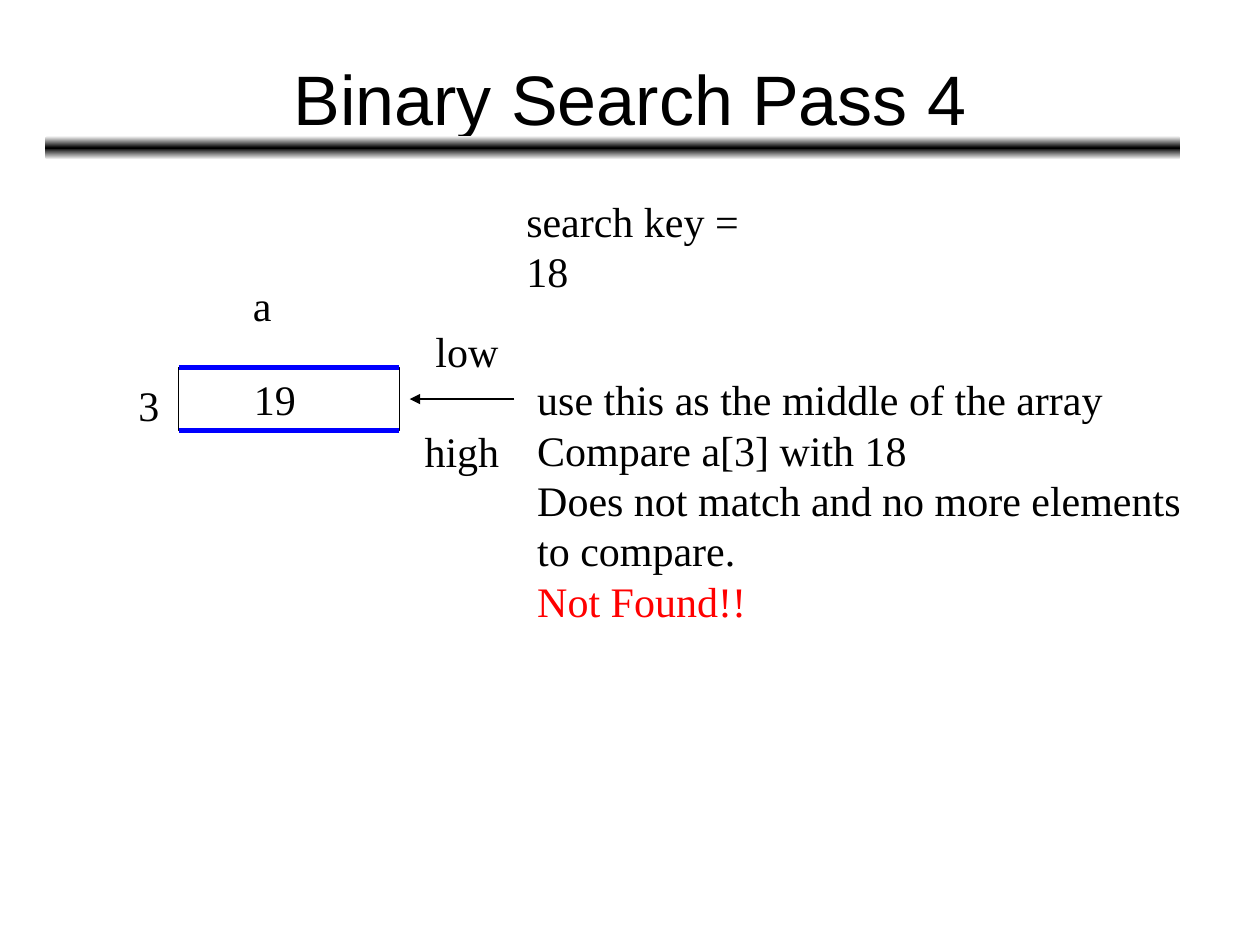
from copy import deepcopy
from dataclasses import dataclass

from pptx import Presentation
from pptx.dml.color import RGBColor
from pptx.enum.shapes import MSO_CONNECTOR, MSO_SHAPE
from pptx.enum.text import MSO_ANCHOR, MSO_AUTO_SIZE, PP_ALIGN
from pptx.oxml.ns import qn
from pptx.util import Cm, Pt
from lxml import etree

ROUNDED = MSO_SHAPE.ROUNDED_RECTANGLE
RECTANGLE = MSO_SHAPE.RECTANGLE
STRAIGHT = MSO_CONNECTOR.STRAIGHT
MIDDLE = MSO_ANCHOR.MIDDLE
FIT_SHAPE = MSO_AUTO_SIZE.SHAPE_TO_FIT_TEXT
NO_FIT = MSO_AUTO_SIZE.NONE
CENTER = PP_ALIGN.CENTER
LEFT = PP_ALIGN.LEFT


@dataclass(frozen=True)
class Theme:
    black: RGBColor = RGBColor(0, 0, 0)
    white: RGBColor = RGBColor(255, 255, 255)
    blue: RGBColor = RGBColor(0, 0, 255)
    red: RGBColor = RGBColor(255, 0, 0)
    title_font: str = "Arial"
    body_font: str = "Times New Roman"
    title_size: float = 40
    body_size: float = 24
    thin: float = 0.75
    thick: float = 3


class SlideBuilder:
    def __init__(self, page, theme):
        self.page = page
        self.theme = theme

    def style(self, para, font, size, color, align):
        para.alignment = align
        for span in para.runs:
            span.font.name = font
            span.font.size = Pt(size)
            span.font.color.rgb = color

    def title(self, text, left, top, width, height):
        box = self.page.shapes.title
        box.left, box.top, box.width, box.height = map(Cm, (left, top, width, height))
        frame = box.text_frame
        frame.text = text
        frame.vertical_anchor = MIDDLE
        frame.auto_size = NO_FIT
        self.style(frame.paragraphs[0], self.theme.title_font,
                   self.theme.title_size, self.theme.black, CENTER)

    def gradient_bar(self, left, top, width, height):
        bar = self.page.shapes.add_shape(ROUNDED, *map(Cm, (left, top, width, height)))
        bar.shadow.inherit = False
        bar.line.fill.background()
        bar.fill.gradient()
        bar.fill.gradient_angle = 90
        # A third stop puts the dark band in the middle
        stop_list = bar._element.spPr.find(qn("a:gradFill")).find(qn("a:gsLst"))
        stop_list.insert(1, deepcopy(stop_list[0]))
        colors = (self.theme.white, self.theme.black, self.theme.white)
        for stop, position, color in zip(bar.fill.gradient_stops, (0, 0.5, 1), colors):
            stop.position = position
            stop.color.rgb = color

    def cell(self, left, top, width, height):
        box = self.page.shapes.add_shape(RECTANGLE, *map(Cm, (left, top, width, height)))
        box.shadow.inherit = False
        box.fill.background()
        box.line.color.rgb = self.theme.black
        box.line.width = Pt(self.theme.thin)

    def line(self, start, end, color, width, arrow=False):
        line = self.page.shapes.add_connector(STRAIGHT, *map(Cm, (*start, *end)))
        line.line.color.rgb = color
        line.line.width = Pt(width)
        if arrow:
            outline = line.line._get_or_add_ln()
            etree.SubElement(outline, qn("a:tailEnd"), type="triangle")
        etree.SubElement(line._element.spPr, qn("a:effectLst"))

    def text(self, lines, left, top, width, height=1.27, accents=None):
        box = self.page.shapes.add_textbox(*map(Cm, (left, top, width, height)))
        frame = box.text_frame
        frame.text = "\n".join(lines)
        frame.word_wrap = False
        frame.auto_size = FIT_SHAPE
        for words, para in zip(lines, frame.paragraphs):
            color = (accents or {}).get(words, self.theme.black)
            self.style(para, self.theme.body_font, self.theme.body_size, color, LEFT)


def main():
    deck = Presentation()
    deck.slide_width, deck.slide_height = Cm(25.4), Cm(19.05)
    theme = Theme()
    slide = SlideBuilder(deck.slides.add_slide(deck.slide_layouts[5]), theme)

    # Heading
    slide.gradient_bar(0.91, 2.74, 22.89, 0.48)
    slide.title("Binary Search Pass 4", 1.27, 0.76, 22.86, 2.41)
    slide.text(["search key = 18"], 10.36, 3.81, 5.84)

    # Remaining array element, with bounds in blue
    left, top, width, height = 3.6, 7.41, 4.45, 1.27
    slide.cell(left, top, width, height)
    for edge in (top, top + height):
        slide.line((left, edge), (left + width, edge), theme.blue, theme.thick)

    # Array name, index, value and bound labels
    for label, label_left, label_top, label_width in (
        ("a", 4.85, 5.5, 0.89),
        ("3", 2.54, 7.52, 0.91),
        ("19", 4.87, top, 1.35),
        ("low", 8.53, 6.43, 1.78),
        ("high", 8.31, 8.46, 2.01),
    ):
        slide.text([label], label_left, label_top, label_width)

    # Explanation of the comparison
    middle = top + height / 2
    slide.line((10.37, middle), (8.26, middle), theme.black, theme.thin, arrow=True)
    verdict = "Not Found!!"
    slide.text(
        ["use this as the middle of the array", "Compare a[3] with 18",
         "Does not match and no more elements", "to compare.", verdict],
        10.58, top, 13.69, 5.33, accents={verdict: theme.red})

    deck.save("out.pptx")


if __name__ == "__main__":
    main()
